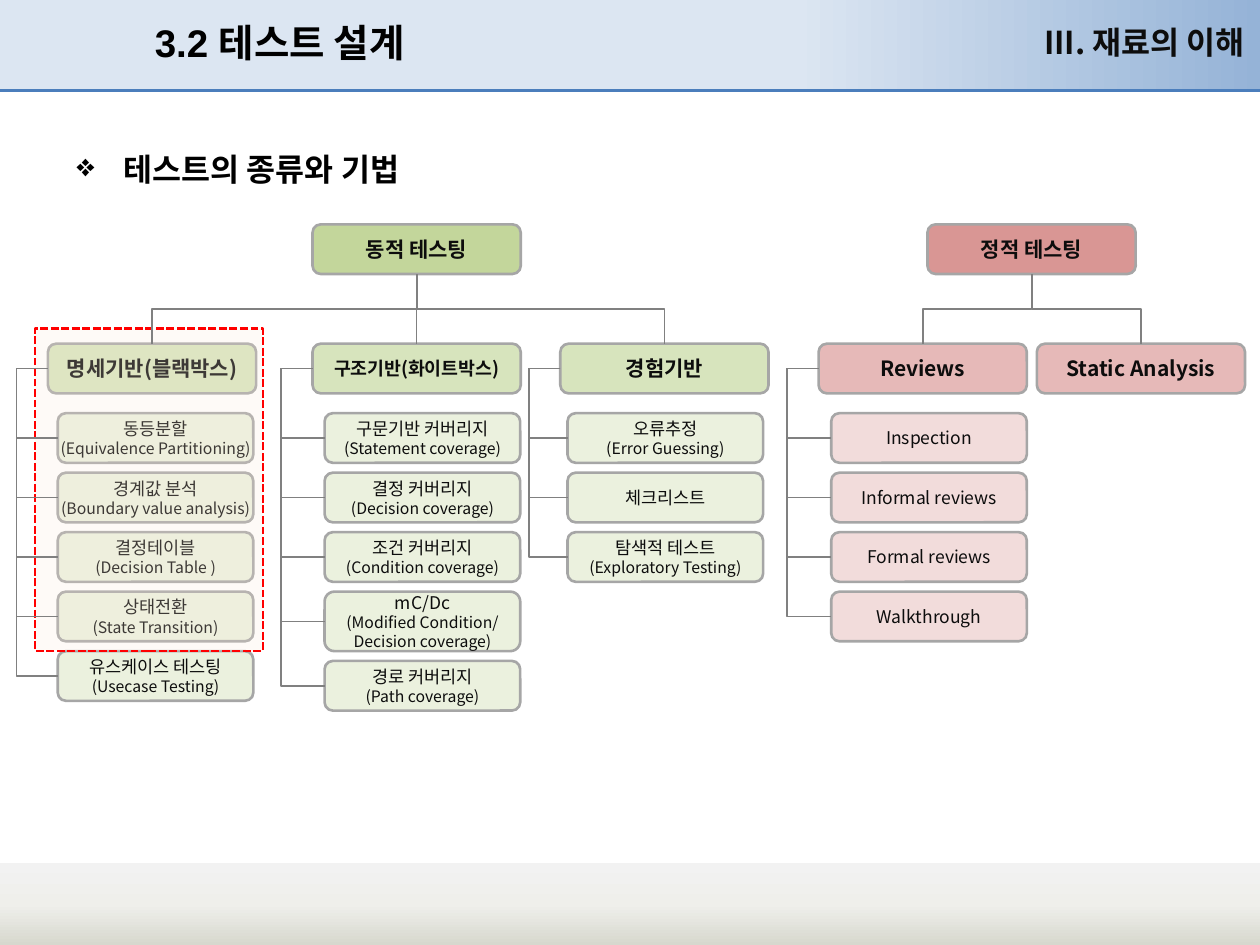
"""Build the slide that maps test types to their techniques."""
from lxml.etree import SubElement
from pptx import Presentation
from pptx.dml.color import RGBColor
from pptx.enum.dml import MSO_LINE
from pptx.enum.shapes import MSO_CONNECTOR, MSO_SHAPE
from pptx.enum.text import MSO_ANCHOR, PP_ALIGN
from pptx.oxml.ns import qn
from pptx.util import Pt

TITLE = "3.2 테스트 설계"
CHAPTER = "III. 재료의 이해"
HEADING = "테스트의 종류와 기법"
FONT = "Noto Sans CJK KR"
COLORS = {
    "black": "000000", "ink": "0D0D0D", "border": "A6A6A6", "connector": "808080",
    "rule": "4B7EBC", "highlight": "FF0000", "highlight fill": "FDEADA",
}
GREEN = {"root": "C3D69B", "head": "D7E4BD", "item": "EBF1DE"}
RED = {"root": "D99694", "head": "E6B9B8", "item": "F2DCDB"}
HEADER_STOPS = [(0, "DCE6F2"), (63, "DCE6F2"), (100, "95B3D7")]
FOOTER_STOPS = [(0, "F2F2F2"), (50, "EFEFEB"), (100, "D7D8CE")]

TREES = [
    {"root": "동적 테스팅", "left": 178.6, "palette": GREEN, "branches": [
        {"head": "명세기반(블랙박스)", "left": 27.4, "item_left": 33, "items": [
            ["동등분할", "(Equivalence Partitioning)"],
            ["경계값 분석", "(Boundary value analysis)"],
            ["결정테이블", "(Decision Table )"],
            ["상태전환", "(State Transition)"],
            ["유스케이스 테스팅", "(Usecase Testing)"]]},
        {"head": "구조기반(화이트박스)", "left": 178.6, "item_left": 185.5, "size": 10.5, "items": [
            ["구문기반 커버리지", "(Statement coverage)"],
            ["결정 커버리지", "(Decision coverage)"],
            ["조건 커버리지", "(Condition coverage)"],
            ["mC/Dc", "(Modified Condition/", "Decision coverage)"],
            ["경로 커버리지", "(Path coverage)"]]},
        {"head": "경험기반", "left": 320.2, "item_left": 324.3, "items": [
            ["오류추정", "(Error Guessing)"],
            ["체크리스트"],
            ["탐색적 테스트", "(Exploratory Testing)"]]}]},
    {"root": "정적 테스팅", "left": 530, "palette": RED, "branches": [
        {"head": "Reviews", "left": 467.8, "item_left": 475, "items": [
            ["Inspection"], ["Informal reviews"], ["Formal reviews"], ["Walkthrough"]]},
        {"head": "Static Analysis", "left": 592.5, "item_left": 600, "items": []}]},
]

ROOT_TOP, HEAD_TOP, ITEM_TOP = 128.2, 196.4, 236.1
HEAD_WIDTH, ITEM_WIDTH = 119, 111.8
BOX_HEIGHT, TALL_HEIGHT, ITEM_GAP = 28.4, 34, 5.6
TRUNK_OFFSET = 18

presentation = Presentation()
presentation.slide_width, presentation.slide_height = Pt(720), Pt(540)
slide = presentation.slides.add_slide(presentation.slide_layouts[6])


def rgb(value):
    return RGBColor.from_string(value)


def write(shape, lines, sizes, color="ink", bold=False, font=FONT, align=PP_ALIGN.LEFT,
          anchor=MSO_ANCHOR.TOP, insets=(7.2, 3.6), wrap=True, bullet=None, spacing=None):
    frame = shape.text_frame
    frame.word_wrap, frame.vertical_anchor = wrap, anchor
    frame.margin_left = frame.margin_right = Pt(insets[0])
    frame.margin_top = frame.margin_bottom = Pt(insets[1])
    for index, line in enumerate(lines):
        paragraph = frame.add_paragraph() if index else frame.paragraphs[0]
        paragraph.alignment = align
        if spacing:
            paragraph.line_spacing = spacing
        if bullet:
            properties = paragraph._p.get_or_add_pPr()
            properties.set("marL", str(Pt(27)))
            properties.set("indent", str(-Pt(27)))
            SubElement(properties, qn("a:buChar"), char=bullet)
        run = paragraph.add_run()
        run.text = line
        run.font.name, run.font.bold = font, bold
        run.font.size = Pt(sizes[min(index, len(sizes) - 1)])
        run.font.color.rgb = rgb(COLORS[color])
        SubElement(run._r.get_or_add_rPr(), qn("a:ea"), typeface=FONT)


def add_text(left, top, width, height, text, size, **style):
    box = slide.shapes.add_textbox(Pt(left), Pt(top), Pt(width), Pt(height))
    write(box, [text], [size], bold=True, **style)


def add_block(kind, left, top, width, height, fill=None, line=None):
    shape = slide.shapes.add_shape(kind, Pt(left), Pt(top), Pt(width), Pt(height))
    shape.shadow.inherit = False
    if fill:
        shape.fill.solid()
        shape.fill.fore_color.rgb = rgb(fill)
    if line:
        shape.line.color.rgb = rgb(line)
        shape.line.width = Pt(1.5)
    else:
        shape.line.fill.background()
    return shape


def add_band(top, height, stops, angle):
    band = add_block(MSO_SHAPE.RECTANGLE, 0, top, 720, height)
    band.fill.gradient()
    band.fill.gradient_angle = angle
    stop_list = next(band._element.spPr.iter(qn("a:gsLst")))
    for stop in list(stop_list):
        stop_list.remove(stop)
    for position, color in stops:
        stop = SubElement(stop_list, qn("a:gs"), pos=str(position * 1000))
        SubElement(stop, qn("a:srgbClr"), val=color)


def add_box(left, top, width, height, fill, lines, sizes, **style):
    box = add_block(MSO_SHAPE.ROUNDED_RECTANGLE, left, top, width, height, fill, COLORS["border"])
    write(box, lines, sizes, align=PP_ALIGN.CENTER, anchor=MSO_ANCHOR.MIDDLE, **style)


def add_line(kind, start, end, color="connector", width=1):
    line = slide.shapes.add_connector(kind, *(Pt(value) for value in (*start, *end)))
    line.line.color.rgb = rgb(COLORS[color])
    line.line.width = Pt(width)
    SubElement(line._element.spPr, qn("a:effectLst"))
    return line


def add_drop(start, end):
    drop, half_span = end[1] - start[1], abs(end[0] - start[0]) / 2
    middle_x, middle_y = (start[0] + end[0]) / 2, (start[1] + end[1]) / 2
    line = add_line(MSO_CONNECTOR.ELBOW, (middle_x - drop / 2, middle_y - half_span),
                    (middle_x + drop / 2, middle_y + half_span))
    transform = line._element.spPr.find(qn("a:xfrm"))
    if end[0] < start[0]:
        transform.set("rot", "5400000")
    else:
        transform.set("rot", "16200000")
        transform.set("flipH", "1")


def add_side_branch(start, end):
    line = add_line(MSO_CONNECTOR.ELBOW, start, end)
    geometry = line._element.spPr.find(qn("a:prstGeom"))
    ratio = round(-TRUNK_OFFSET / (end[0] - start[0]) * 100000)
    SubElement(geometry.find(qn("a:avLst")), qn("a:gd"), name="adj1", fmla=f"val {ratio}")


add_band(-0.7, 52.5, HEADER_STOPS, 0)
add_band(493.2, 46.8, FOOTER_STOPS, 270)
add_line(MSO_CONNECTOR.STRAIGHT, (0, 51.8), (720, 51.8), "rule", 2)
add_text(81.4, 3.6, 425.5, 41, TITLE, 22, color="black", font="Arial", anchor=MSO_ANCHOR.MIDDLE)
add_text(36.7, 71.3, 663, 39.6, HEADING, 18, color="black", bullet="❖", spacing=1.5)
add_text(490.3, 9.4, 221, 28, CHAPTER, 18, align=PP_ALIGN.RIGHT, insets=(0, 3.6))

drops, side_branches = [], []
for tree in TREES:
    palette = tree["palette"]
    add_box(tree["left"], ROOT_TOP, HEAD_WIDTH, BOX_HEIGHT, palette["root"],
            [tree["root"]], [12], bold=True)
    root_foot = (tree["left"] + HEAD_WIDTH / 2, ROOT_TOP + BOX_HEIGHT)
    for branch in tree["branches"]:
        left = branch["left"]
        add_box(left, HEAD_TOP, HEAD_WIDTH, BOX_HEIGHT, palette["head"],
                [branch["head"]], [branch.get("size", 12)], bold=True)
        drops.append((root_foot, (left + HEAD_WIDTH / 2, HEAD_TOP)))
        top = ITEM_TOP
        for lines in branch["items"]:
            tall = len(lines) > 2
            height = TALL_HEIGHT if tall else BOX_HEIGHT
            add_box(branch["item_left"], top, ITEM_WIDTH, height, palette["item"],
                    lines, [10, 9], insets=(0, 0), wrap=not tall)
            side_branches.append(((left, HEAD_TOP + BOX_HEIGHT / 2),
                                  (branch["item_left"], top + height / 2)))
            top += height + ITEM_GAP

highlight = add_block(MSO_SHAPE.RECTANGLE, 20, 187.7, 130.2, 184.4,
                      COLORS["highlight fill"], COLORS["highlight"])
highlight.line.dash_style = MSO_LINE.SQUARE_DOT
SubElement(next(highlight._element.spPr.iter(qn("a:srgbClr"))), qn("a:alpha"), val="20000")

for start, end in drops:
    add_drop(start, end)
for start, end in side_branches:
    add_side_branch(start, end)

presentation.save("out.pptx")
